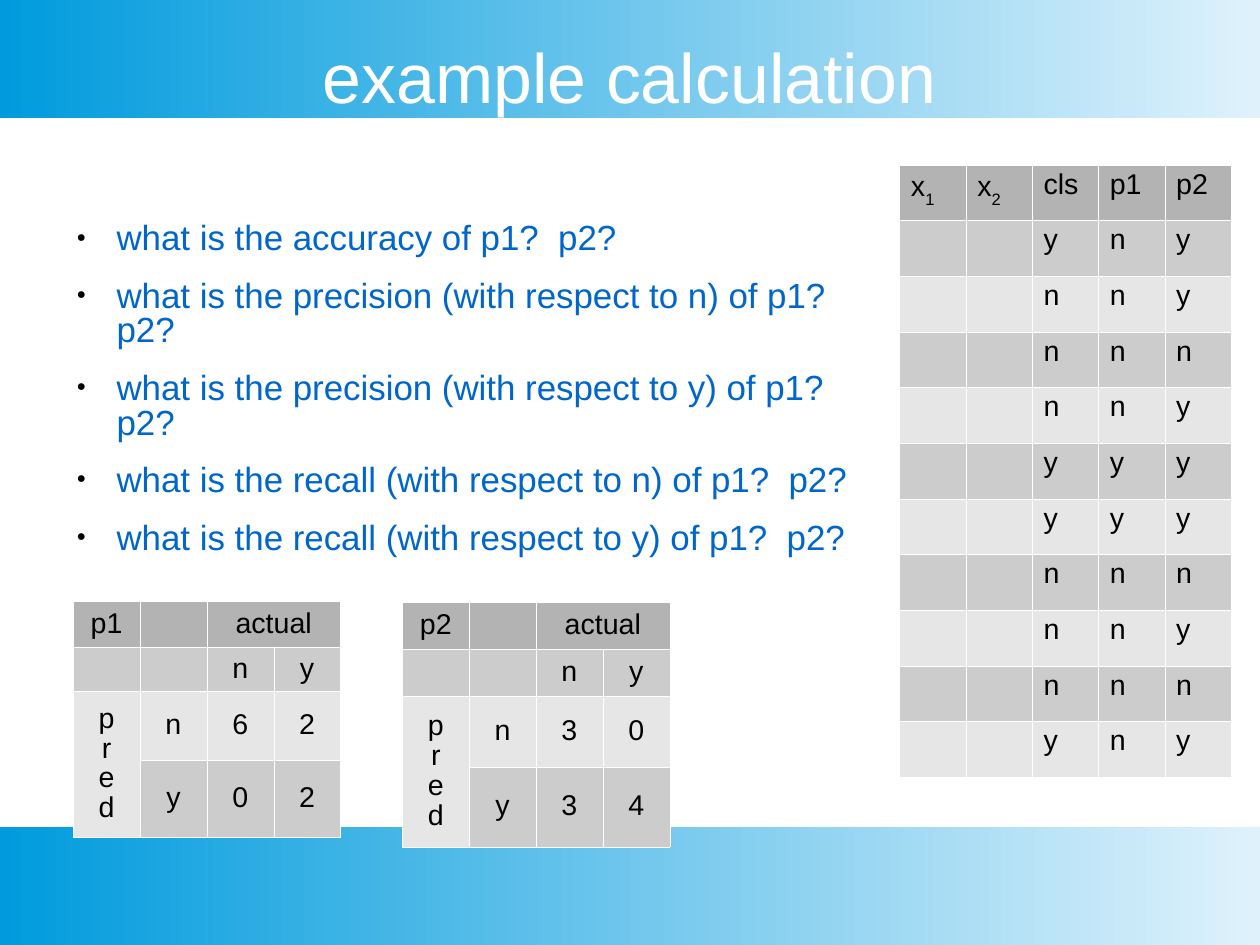
"""Build the "example calculation" slide with class data and two confusion matrices."""
from lxml import etree
from pptx import Presentation
from pptx.dml.color import RGBColor
from pptx.enum.shapes import MSO_SHAPE
from pptx.enum.text import MSO_ANCHOR, MSO_AUTO_SIZE, PP_ALIGN
from pptx.oxml import parse_xml
from pptx.oxml.ns import nsdecls, qn
from pptx.util import Inches, Pt

RECT = MSO_SHAPE.RECTANGLE
TOP, MIDDLE = MSO_ANCHOR.TOP, MSO_ANCHOR.MIDDLE
NO_FIT = MSO_AUTO_SIZE.NONE
LEFT, CENTER = PP_ALIGN.LEFT, PP_ALIGN.CENTER

WHITE = RGBColor(0xFF, 0xFF, 0xFF)
BLACK = RGBColor(0x00, 0x00, 0x00)
PALE_BLUE = RGBColor(0xDF, 0xF2, 0xFC)
BRIGHT_BLUE = RGBColor(0x00, 0x9B, 0xDD)
TEXT_BLUE = RGBColor(0x00, 0x66, 0xCC)
HEADER_GRAY = RGBColor(0xB3, 0xB3, 0xB3)
BAND_GRAYS = [RGBColor(0xE6, 0xE6, 0xE6), RGBColor(0xCC, 0xCC, 0xCC)]

SLIDE_W, SLIDE_H, BAR_H = 28 / 2.54, 21 / 2.54, 1.03


def add_run(p, text, size, color):
    r = p.add_run()
    r.text = text
    r.font.name = "Arial"
    r.font.size = Pt(size)
    r.font.color.rgb = color
    return r


def add_grid(s, rows, x, y, col_w, heights, align, anchor):
    width = col_w * len(rows[0])
    frame = s.shapes.add_table(len(rows), len(rows[0]), Inches(x), Inches(y),
                               Inches(width), Inches(sum(heights)))
    table = frame.table
    table.first_row = table.horz_banding = False
    for col in table.columns:
        col.width = Inches(col_w)
    for i, values in enumerate(rows):
        table.rows[i].height = Inches(heights[i])
        for j, value in enumerate(values):
            cell = table.cell(i, j)
            cell.vertical_anchor = anchor
            tcPr = cell._tc.get_or_add_tcPr()
            for side in ("lnL", "lnR", "lnT", "lnB"):
                tcPr.append(parse_xml(
                    f'<a:{side} {nsdecls("a")} w="762"><a:solidFill>'
                    f'<a:srgbClr val="{WHITE}"/></a:solidFill></a:{side}>'))
            cell.fill.solid()
            cell.fill.fore_color.rgb = BAND_GRAYS[i % 2] if i else HEADER_GRAY
            tf = cell.text_frame
            for k, line in enumerate(value.split("\n")):
                p = tf.add_paragraph() if k else tf.paragraphs[0]
                p.alignment = align
                p.line_spacing = 0.93
                base, _, sub = line.partition("_")
                if base:
                    add_run(p, base, 18, BLACK)
                else:
                    etree.SubElement(p._p, qn("a:endParaRPr"), sz="1600")
                if sub:
                    r = add_run(p, sub, 18, BLACK)
                    r._r.get_or_add_rPr().set("baseline", "-33000")
    return table


prs = Presentation()
prs.slide_width = Inches(SLIDE_W)
prs.slide_height = Inches(SLIDE_H)
s = prs.slides.add_slide(prs.slide_layouts[1])
title, body = s.shapes.title, s.placeholders[1]

for y in (0, SLIDE_H - BAR_H):
    sp = s.shapes.add_shape(RECT, 0, Inches(y), Inches(SLIDE_W), Inches(BAR_H))
    sp.shadow.inherit = False
    sp.line.fill.background()
    sp.fill.gradient()
    sp.fill.gradient_angle = 180
    for stop, color in zip(sp.fill.gradient_stops, (PALE_BLUE, BRIGHT_BLUE)):
        stop.color.rgb = color
    title.element.addprevious(sp.element)

for sp, box, inset, anchor in (
    (title, (0.55, 0.33, 9.92, 0.7), 0.04, MIDDLE),
    (body, (0.55, 1.93, 6.95, 3.16), 0.02, TOP),
):
    sp.left, sp.top, sp.width, sp.height = map(Inches, box)
    tf = sp.text_frame
    tf.word_wrap = True
    tf.auto_size = NO_FIT
    tf.vertical_anchor = anchor
    tf.margin_left = tf.margin_right = tf.margin_bottom = 0
    tf.margin_top = Inches(inset)

p = title.text_frame.paragraphs[0]
p.alignment = CENTER
p.line_spacing = 0.93
add_run(p, "example calculation", 44, WHITE)

questions = [
    "what is the accuracy of p1?  p2?",
    "what is the precision (with respect to n) of p1?  p2?",
    "what is the precision (with respect to y) of p1?  p2?",
    "what is the recall (with respect to n) of p1?  p2?",
    "what is the recall (with respect to y) of p1?  p2?",
]
tf = body.text_frame
for i, question in enumerate(questions):
    p = tf.add_paragraph() if i else tf.paragraphs[0]
    p.alignment = LEFT
    p.line_spacing = 0.83
    p.space_before = Pt(14.3)
    pPr = p._p.get_or_add_pPr()
    pPr.set("marL", str(Inches(0.47)))
    pPr.set("indent", str(Inches(-0.35)))
    bullet_color = etree.SubElement(pPr, qn("a:buClr"))
    etree.SubElement(bullet_color, qn("a:srgbClr"), val=str(BLACK))
    etree.SubElement(pPr, qn("a:buSzPct"), val="45000")
    etree.SubElement(pPr, qn("a:buChar"), char="●")
    add_run(p, question, 22, TEXT_BLUE)

labels = ["yny", "nny", "nnn", "nny", "yyy", "yyy", "nnn", "nny", "nnn", "yny"]
data = [["x_1", "x_2", "cls", "p1", "p2"]] + [["", "", *row] for row in labels]
add_grid(s, data, 7.87, 1.44, 0.58, [5.36 / len(data)] * len(data), LEFT, TOP)

for name, x, y, heights, n_counts, y_counts in (
    ("p1", 0.64, 5.26, [0.4, 0.39, 0.6, 0.67], "62", "02"),
    ("p2", 3.52, 5.27, [0.41, 0.41, 0.62, 0.7], "30", "34"),
):
    matrix = [
        [name, "", "actual", ""],
        ["", "", "n", "y"],
        ["p\nr\ne\nd", "n", *n_counts],
        ["", "y", *y_counts],
    ]
    table = add_grid(s, matrix, x, y, 2.34 / 4, heights, CENTER, MIDDLE)
    table.cell(0, 2).merge(table.cell(0, 3))
    table.cell(2, 0).merge(table.cell(3, 0))

prs.save("out.pptx")
